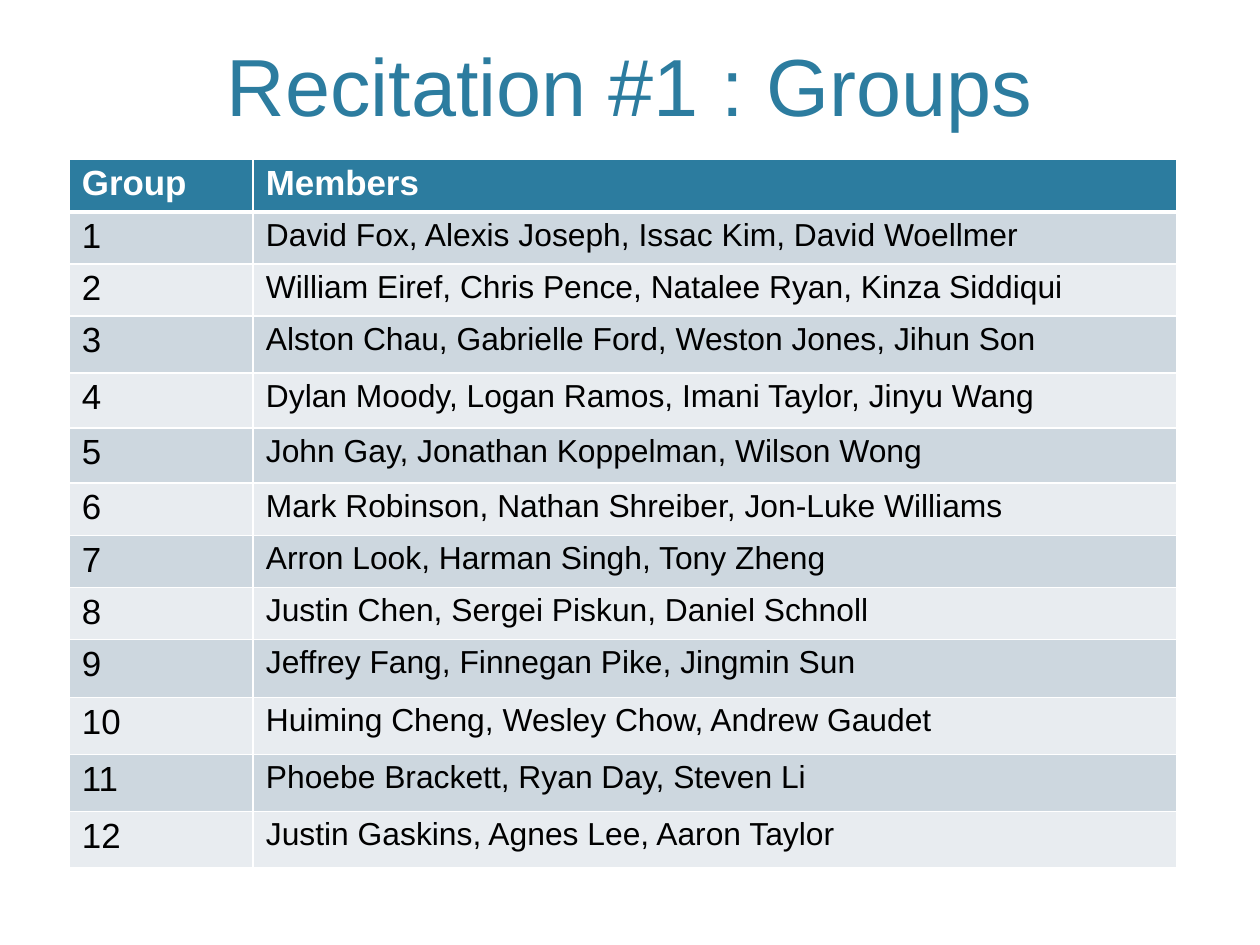
from lxml import etree
from pptx import Presentation
from pptx import util as u
from pptx.dml.color import RGBColor
from pptx.enum import text
from pptx.oxml.ns import qn

PX = 8000  # EMU per px
FONT = "Arial"
COLORS = {"teal": "2C7C9F", "band_dark": "CDD7DF", "band_light": "E8ECF0",
          "white": "FFFFFF", "black": "000000"}


def add_run(p, words, size, color, bold=False):
    r = p.add_run()
    r.text = words
    r.font.name, r.font.size, r.font.bold = FONT, u.Pt(size), bold
    r.font.color.rgb = RGBColor.from_string(COLORS[color])


def set_borders(cell, widths):
    """Draw white cell borders; widths in points as left, right, top, bottom."""
    tcPr = cell._tc.get_or_add_tcPr()
    for i, (side, width) in enumerate(zip("LRTB", widths)):
        ln = etree.Element(qn(f"a:ln{side}"), w=str(u.Pt(width)))
        fill = etree.SubElement(ln, qn("a:solidFill"))
        etree.SubElement(fill, qn("a:srgbClr"), val=COLORS["white"])
        tcPr.insert(i, ln)


members = [
    "David Fox, Alexis Joseph, Issac Kim, David Woellmer",
    "William Eiref, Chris Pence, Natalee Ryan, Kinza Siddiqui",
    "Alston Chau, Gabrielle Ford, Weston Jones, Jihun Son",
    "Dylan Moody, Logan Ramos, Imani Taylor, Jinyu Wang",
    "John Gay, Jonathan Koppelman, Wilson Wong",
    "Mark Robinson, Nathan Shreiber, Jon-Luke Williams",
    "Arron Look, Harman Singh, Tony Zheng",
    "Justin Chen, Sergei Piskun, Daniel Schnoll",
    "Jeffrey Fang, Finnegan Pike, Jingmin Sun",
    "Huiming Cheng, Wesley Chow, Andrew Gaudet",
    "Phoebe Brackett, Ryan Day, Steven Li",
    "Justin Gaskins, Agnes Lee, Aaron Taylor",
]
rows = [("Group", "Members")] + [(str(n), m) for n, m in enumerate(members, 1)]
col_widths = [184, 924]
row_heights = [53, 52, 52, 57, 55, 55, 53, 52, 52, 58, 57, 57, 56]

prs = Presentation()
prs.slide_width, prs.slide_height = 1260 * PX, 945 * PX
s = prs.slides.add_slide(prs.slide_layouts[5])

# Title
title = s.shapes.title
title.left, title.top, title.width, title.height = 75 * PX, 15 * PX, 1109 * PX, 125 * PX
tf = title.text_frame
tf.auto_size = text.MSO_AUTO_SIZE.NONE
tf.vertical_anchor = text.MSO_ANCHOR.BOTTOM
tf.margin_left = tf.margin_right = 13 * PX
tf.margin_top = tf.margin_bottom = 7 * PX
p = tf.paragraphs[0]
p.alignment = text.PP_ALIGN.CENTER
add_run(p, "Recitation #1 : Groups", 51, "teal")

# Table of groups
table = s.shapes.add_table(len(rows), 2, 69 * PX, 159 * PX,
                           sum(col_widths) * PX, sum(row_heights) * PX).table
for col, width in zip(table.columns, col_widths):
    col.width = width * PX
for row, height in zip(table.rows, row_heights):
    row.height = height * PX

for i, row in enumerate(rows):
    header = i == 0
    band = "teal" if header else "band_dark" if i % 2 else "band_light"
    for j, words in enumerate(row):
        cell = table.cell(i, j)
        cell.fill.solid()
        cell.fill.fore_color.rgb = RGBColor.from_string(COLORS[band])
        cell.margin_left = cell.margin_right = 13 * PX
        cell.margin_top = cell.margin_bottom = 7 * PX
        set_borders(cell, (1, 1, 3 if i == 1 else 1, 3 if header else 1))
        p = cell.text_frame.paragraphs[0]
        p.line_spacing = 0.96
        size = 22 if header or j == 0 else 20
        add_run(p, words, size, "white" if header else "black", header)

prs.save("out.pptx")
